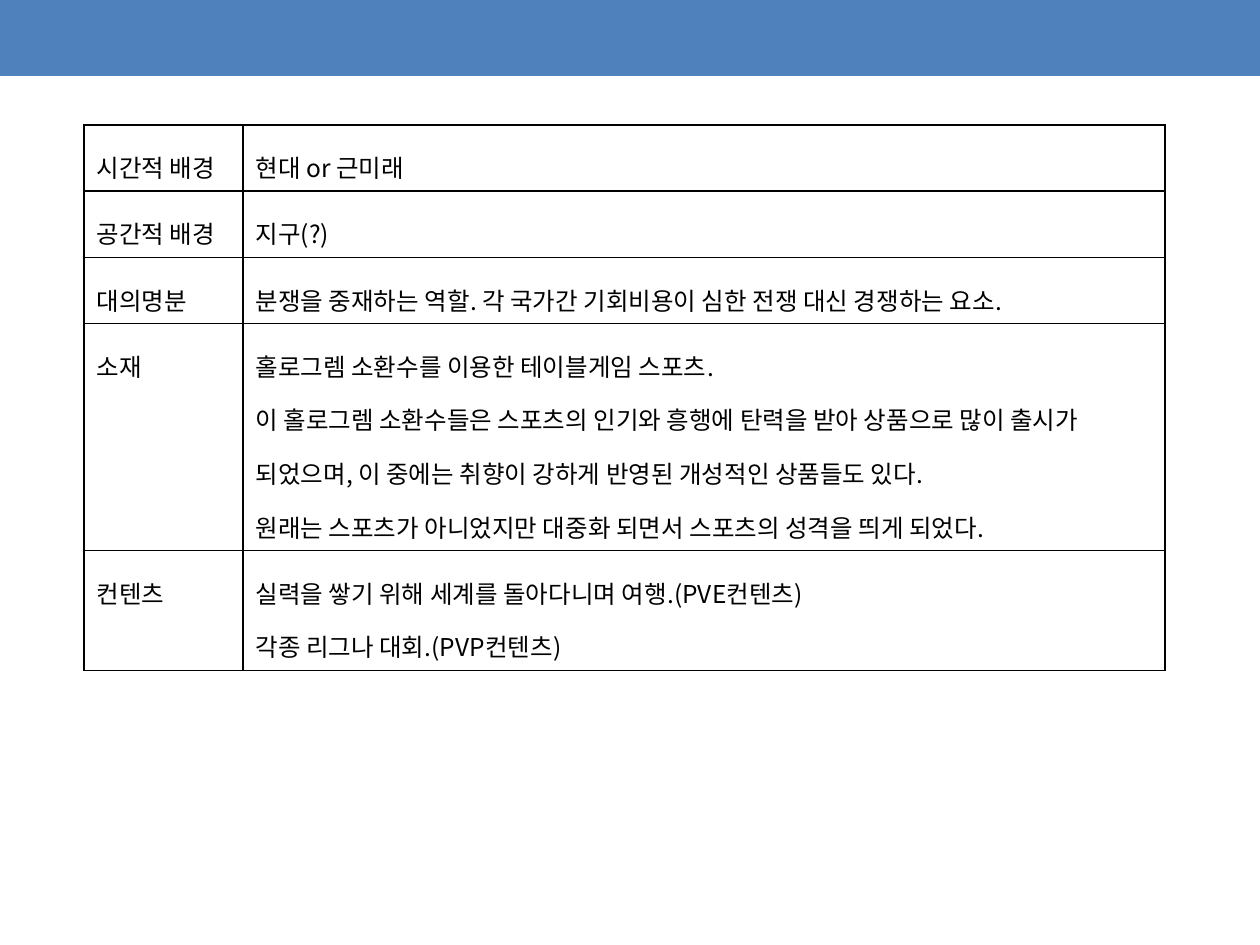
from lxml.etree import SubElement
from pptx import Presentation
from pptx.dml.color import RGBColor as RGB
from pptx.enum.shapes import MSO_SHAPE as SHAPE
from pptx.oxml.ns import qn
from pptx.util import Emu, Pt

ROWS = [
    ("시간적 배경", ["현대 or 근미래"]),
    ("공간적 배경", ["지구(?)"]),
    ("대의명분", ["분쟁을 중재하는 역할. 각 국가간 기회비용이 심한 전쟁 대신 경쟁하는 요소."]),
    ("소재", [
        "홀로그렘 소환수를 이용한 테이블게임 스포츠.",
        "이 홀로그렘 소환수들은 스포츠의 인기와 흥행에 탄력을 받아 상품으로 많이 출시가 "
        "되었으며, 이 중에는 취향이 강하게 반영된 개성적인 상품들도 있다.",
        "원래는 스포츠가 아니었지만 대중화 되면서 스포츠의 성격을 띄게 되었다.",
    ]),
    ("컨텐츠", [
        "실력을 쌓기 위해 세계를 돌아다니며 여행.(PVE컨텐츠)",
        "각종 리그나 대회.(PVP컨텐츠)",
    ]),
]
THEME = {
    "bar": RGB.from_string("4F81BD"),
    "ink": RGB.from_string("000000"),
    "border": Pt(1),
    "font": {"name": "Noto Sans CJK KR", "size": Pt(14), "bold": False},
    "line_spacing": 1.5,
}
SLIDE_W, SLIDE_H, BAR_H = 1260, 945, 76
LEFT, TOP, ROW_H = 84, 125, 52
COL_W = [159, 922]


def px(n):
    return Emu(round(n * 914400 / 126))


def add_bar(s):
    bar = s.shapes.add_shape(SHAPE.RECTANGLE, 0, 0, px(SLIDE_W), px(BAR_H))
    bar.shadow.inherit = False
    bar.fill.solid()
    bar.fill.fore_color.rgb = THEME["bar"]
    bar.line.fill.background()


def set_borders(cell):
    props = cell._tc.get_or_add_tcPr()
    for side in ("a:lnL", "a:lnR", "a:lnT", "a:lnB"):
        line = SubElement(props, qn(side), w=str(THEME["border"]))
        fill = SubElement(line, qn("a:solidFill"))
        SubElement(fill, qn("a:srgbClr"), val=str(THEME["ink"]))


def fill_cell(cell, lines):
    set_borders(cell)
    cell.fill.background()
    tf = cell.text_frame
    tf.text = "\n".join(lines)
    for p in tf.paragraphs:
        p.line_spacing = THEME["line_spacing"]
        r = p.runs[0]
        for name, value in THEME["font"].items():
            setattr(r.font, name, value)
        r.font.color.rgb = THEME["ink"]
        SubElement(r._r.get_or_add_rPr(), qn("a:ea"), typeface=THEME["font"]["name"])


def add_setting_table(s):
    table = s.shapes.add_table(
        len(ROWS), len(COL_W), px(LEFT), px(TOP), px(sum(COL_W)), px(ROW_H * len(ROWS))
    ).table
    table.first_row = table.horz_banding = False
    for col, width in zip(table.columns, COL_W):
        col.width = px(width)
    for row, (label, lines) in zip(table.rows, ROWS):
        row.height = px(ROW_H)
        for cell, content in zip(row.cells, ([label], lines)):
            fill_cell(cell, content)


def main():
    prs = Presentation()
    prs.slide_width, prs.slide_height = px(SLIDE_W), px(SLIDE_H)
    s = prs.slides.add_slide(prs.slide_layouts[6])
    add_bar(s)
    add_setting_table(s)
    prs.save("out.pptx")


if __name__ == "__main__":
    main()
